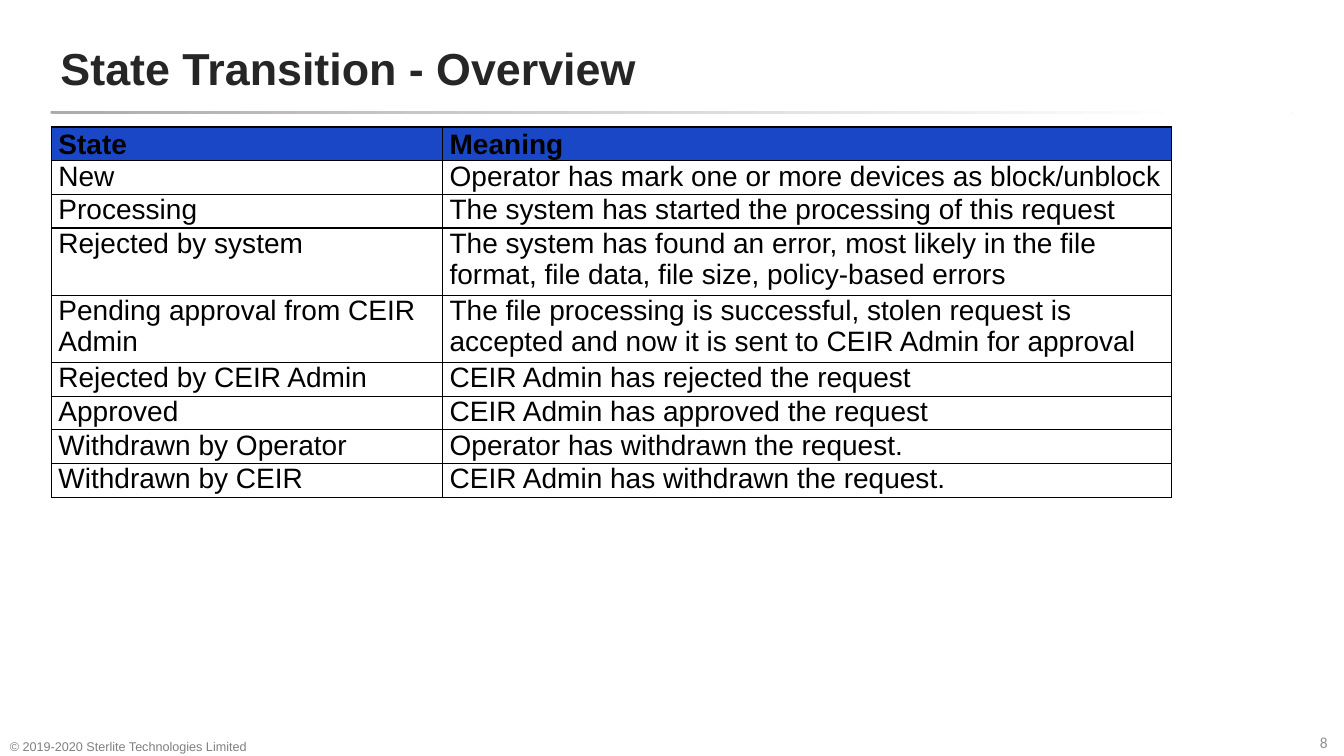
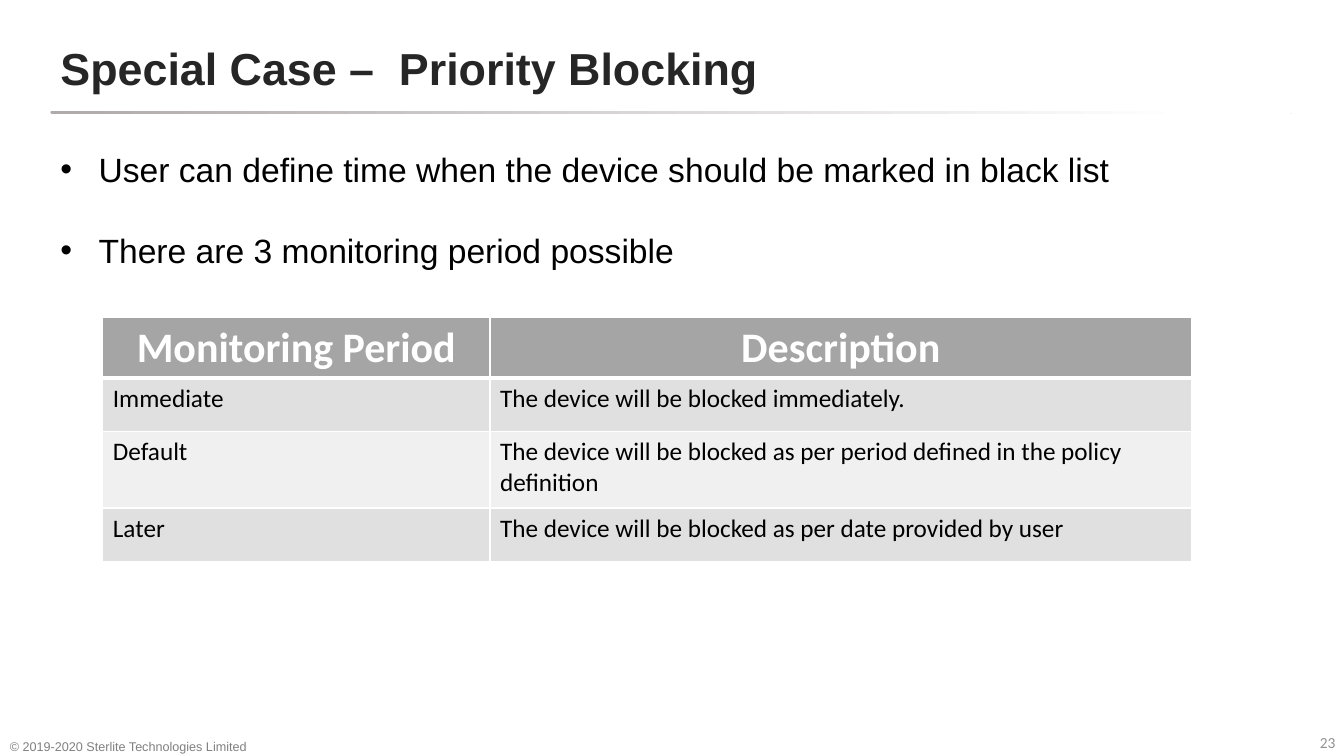
from dataclasses import dataclass

from lxml import etree
from pptx import Presentation
from pptx.dml.color import RGBColor
from pptx.enum.shapes import MSO_SHAPE
from pptx.enum.text import MSO_ANCHOR, PP_ALIGN
from pptx.oxml.ns import qn
from pptx.util import Inches, Pt

ROUNDED = MSO_SHAPE.ROUNDED_RECTANGLE
LEFT, CENTER = PP_ALIGN.LEFT, PP_ALIGN.CENTER
TOP, MIDDLE, BOTTOM = MSO_ANCHOR.TOP, MSO_ANCHOR.MIDDLE, MSO_ANCHOR.BOTTOM
TITLE_ONLY = 5


@dataclass(frozen=True)
class Theme:
    heading_font: str = "Arial"
    table_font: str = "Calibri"
    title: str = "262626"
    body: str = "000000"
    white: str = "FFFFFF"
    rule: str = "AFABAB"
    footer: str = "808080"
    number: str = "929292"
    blue: str = "1A47C5"
    grey: str = "A5A5A5"
    bands: tuple = ("E0E0E0", "F0F0F0")
    title_size: int = 32
    header_size: int = 30
    bullet_size: int = 24
    state_size: int = 20
    period_size: int = 18
    number_size: int = 11
    footer_size: int = 9


@dataclass(frozen=True)
class TableStyle:
    font: str
    header_size: int
    body_size: int
    header_color: str
    header_fill: str
    border: str
    bands: tuple = ()
    header_rule: int = 1
    header_align: PP_ALIGN = LEFT
    header_anchor: MSO_ANCHOR = TOP
    margins: tuple = (0.1, 0.05)


THEME = Theme()
STATE_STYLE = TableStyle(
    THEME.heading_font, THEME.state_size, THEME.state_size, THEME.body,
    THEME.blue, THEME.body, header_anchor=BOTTOM, margins=(0.07, 0))
PERIOD_STYLE = TableStyle(
    THEME.table_font, THEME.header_size, THEME.period_size, THEME.white,
    THEME.grey, THEME.white, bands=THEME.bands, header_rule=3, header_align=CENTER)

STATES = [
    ("State", "Meaning"),
    ("New", "Operator has mark one or more devices as block/unblock"),
    ("Processing", "The system has started the processing of this request"),
    ("Rejected by system",
     "The system has found an error, most likely in the file format, "
     "file data, file size, policy-based errors"),
    ("Pending approval from CEIR Admin",
     "The file processing is successful, stolen request is accepted "
     "and now it is sent to CEIR Admin for approval"),
    ("Rejected by CEIR Admin", "CEIR Admin has rejected the request"),
    ("Approved", "CEIR Admin has approved the request"),
    ("Withdrawn by Operator", "Operator has withdrawn the request."),
    ("Withdrawn by CEIR", "CEIR Admin has withdrawn the request."),
]
STATE_LINES = (1, 1, 1, 2, 2, 1, 1, 1, 1)
STATE_LINE_HEIGHT = 0.33

PERIODS = [
    ("Monitoring Period", "Description"),
    ("Immediate", "The device will be blocked immediately."),
    ("Default",
     "The device will be blocked as per period defined in the policy definition"),
    ("Later", "The device will be blocked as per date provided by user"),
]


def set_borders(cell, color, top=1, bottom=1):
    """Draw all four cell borders; call before the cell gets its fill."""
    properties = cell._tc.get_or_add_tcPr()
    for side, width in (("L", 1), ("R", 1), ("T", top), ("B", bottom)):
        line = etree.SubElement(properties, qn(f"a:ln{side}"), w=str(Pt(width)))
        fill = etree.SubElement(line, qn("a:solidFill"))
        etree.SubElement(fill, qn("a:srgbClr"), val=color)


class Deck:
    def __init__(self, theme):
        self.theme = theme
        self.presentation = Presentation()
        self.presentation.slide_width = Inches(13.33)
        self.presentation.slide_height = Inches(7.5)
        self.slide = None

    def format_runs(self, paragraph, font, size, color, bold=False):
        for run in paragraph.runs:
            run.font.name = font
            run.font.size = Pt(size)
            run.font.bold = bold
            run.font.color.rgb = RGBColor.from_string(color)

    def add_slide(self, title, number):
        theme = self.theme
        layout = self.presentation.slide_layouts[TITLE_ONLY]
        self.slide = self.presentation.slides.add_slide(layout)
        self.add_rule()
        heading = self.slide.shapes.title
        heading.left, heading.top = Inches(0.5), Inches(0.23)
        heading.width, heading.height = Inches(10.88), Inches(0.88)
        frame = heading.text_frame
        frame.text = title
        frame.vertical_anchor = MIDDLE
        frame.paragraphs[0].alignment = LEFT
        self.format_runs(frame.paragraphs[0], theme.heading_font,
                         theme.title_size, theme.title, bold=True)
        page = self.add_text(str(number), (13.04, 7.22, 0.27, 0.25),
                             theme.table_font, theme.number_size, theme.number)
        page.word_wrap = False
        page.margin_left = page.margin_right = Inches(0.05)
        copyright_line = self.add_text(
            "© 2019-2020 Sterlite Technologies Limited", (0, 7.22, 3.03, 0.31),
            theme.heading_font, theme.footer_size, theme.footer)
        copyright_line.vertical_anchor = BOTTOM

    def add_rule(self):
        """Add the line below the title, fading out to the right."""
        rule = self.slide.shapes.add_shape(
            ROUNDED, Inches(0.5), Inches(1.1), Inches(12.31), Inches(0.03))
        rule.adjustments[0] = 0.5
        rule.shadow.inherit = False
        rule.line.fill.background()
        rule.fill.gradient()
        rule.fill.gradient_angle = 0
        stops = zip(rule.fill.gradient_stops,
                    ((0, self.theme.rule), (0.92, self.theme.white)))
        for stop, (position, color) in stops:
            stop.position = position
            stop.color.rgb = RGBColor.from_string(color)

    def add_text(self, text, box, font, size, color):
        frame = self.slide.shapes.add_textbox(*map(Inches, box)).text_frame
        frame.word_wrap = True
        frame.text = text
        for paragraph in frame.paragraphs:
            self.format_runs(paragraph, font, size, color)
        return frame

    def add_bullets(self, items, box, gap):
        theme = self.theme
        frame = self.add_text("\n".join(items), box, theme.heading_font,
                              theme.bullet_size, theme.body)
        for index, paragraph in enumerate(frame.paragraphs):
            properties = paragraph._p.get_or_add_pPr()
            properties.set("marL", str(Inches(0.38)))
            properties.set("indent", str(Inches(-0.38)))
            etree.SubElement(properties, qn("a:buFont"), typeface=theme.heading_font)
            etree.SubElement(properties, qn("a:buChar"), char="•")
            if index:
                paragraph.space_before = Pt(gap)

    def add_table(self, rows, position, widths, heights, style):
        table = self.slide.shapes.add_table(
            len(rows), len(widths), *map(Inches, position),
            Inches(sum(widths)), Inches(sum(heights))).table
        for column, width in zip(table.columns, widths):
            column.width = Inches(width)
        for row, height in zip(table.rows, heights):
            row.height = Inches(height)
        for row_index, texts in enumerate(rows):
            for column_index, text in enumerate(texts):
                cell = table.cell(row_index, column_index)
                self.fill_cell(cell, text, row_index, style)

    def fill_cell(self, cell, text, row_index, style):
        header = row_index == 0
        cell.margin_left = cell.margin_right = Inches(style.margins[0])
        cell.margin_top = cell.margin_bottom = Inches(style.margins[1])
        cell.vertical_anchor = style.header_anchor if header else TOP
        set_borders(cell, style.border,
                    top=style.header_rule if row_index == 1 else 1,
                    bottom=style.header_rule if header else 1)
        if header or style.bands:
            cell.fill.solid()
            color = (style.header_fill if header
                     else style.bands[(row_index - 1) % len(style.bands)])
            cell.fill.fore_color.rgb = RGBColor.from_string(color)
        else:
            cell.fill.background()
        cell.text_frame.text = text
        paragraph = cell.text_frame.paragraphs[0]
        paragraph.alignment = style.header_align if header else LEFT
        self.format_runs(paragraph, style.font,
                         style.header_size if header else style.body_size,
                         style.header_color if header else self.theme.body,
                         bold=header)


def main():
    deck = Deck(THEME)

    deck.add_slide("State Transition - Overview", 8)
    deck.add_table(STATES, (0.51, 1.26), (3.88, 7.23),
                   [lines * STATE_LINE_HEIGHT for lines in STATE_LINES], STATE_STYLE)

    deck.add_slide("Special Case –  Priority Blocking", 23)
    deck.add_bullets(
        ["User can define time when the device should be marked in black list",
         "There are 3 monitoring period possible"],
        (0.5, 1.43, 12.66, 1.72), gap=29)
    deck.add_table(PERIODS, (1.02, 3.15), (3.84, 6.96),
                   (0.59, 0.53, 0.76, 0.53), PERIOD_STYLE)

    deck.presentation.save("out.pptx")


if __name__ == "__main__":
    main()
